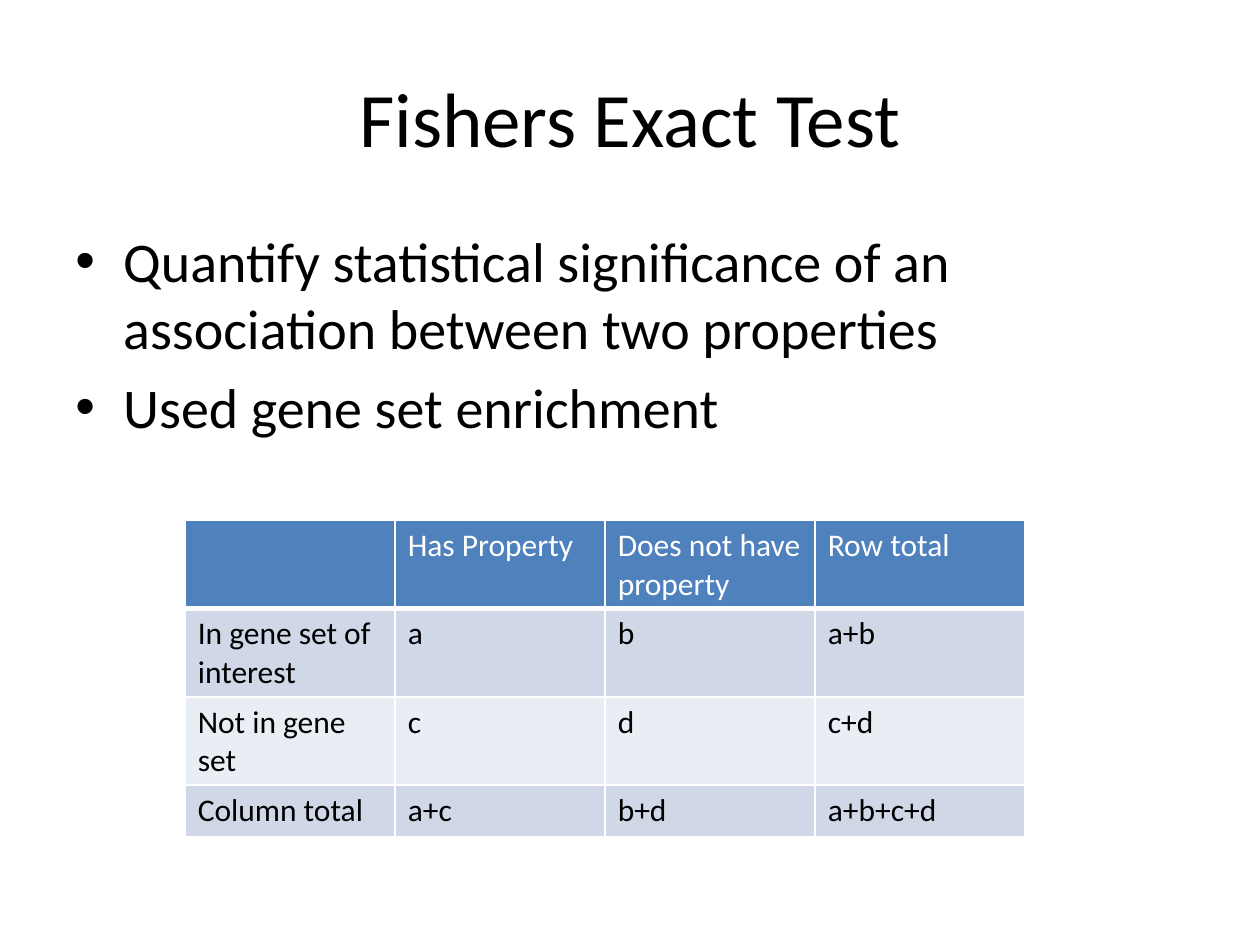
from dataclasses import dataclass

from lxml import etree
from pptx import Presentation
from pptx.dml.color import RGBColor
from pptx.enum.text import MSO_ANCHOR, PP_ALIGN
from pptx.oxml.ns import qn
from pptx.util import Inches, Pt

MIDDLE, TOP = MSO_ANCHOR.MIDDLE, MSO_ANCHOR.TOP
CENTER, LEFT = PP_ALIGN.CENTER, PP_ALIGN.LEFT
BLANK = 6


@dataclass(frozen=True)
class Theme:
    """Colours and type sizes of the slide."""
    font: str = "Calibri"
    ink: str = "000000"
    paper: str = "FFFFFF"
    header: str = "4F81BD"
    bands: tuple = ("D0D8E8", "E9EDF4")
    title: int = 44
    body: int = 32
    cell: int = 18
    rule: int = 1
    header_rule: int = 3


THEME = Theme()
TITLE = "Fishers Exact Test"
POINTS = [
    "Quantify statistical significance of an association between two properties",
    "Used gene set enrichment",
]
ROWS = [
    ["", "Has Property", "Does not have property", "Row total"],
    ["In gene set of interest", "a", "b", "a+b"],
    ["Not in gene set", "c", "d", "c+d"],
    ["Column total", "a+c", "b+d", "a+b+c+d"],
]


def add_run(p, text, size, color):
    """Add one styled run to a paragraph."""
    r = p.add_run()
    r.text = text
    r.font.name = THEME.font
    r.font.size = Pt(size)
    r.font.color.rgb = RGBColor.from_string(color)


def add_text_frame(s, box, anchor):
    """Add a wrapping text box and return its text frame."""
    tf = s.shapes.add_textbox(*box).text_frame
    tf.word_wrap = True
    tf.vertical_anchor = anchor
    return tf


def add_title(s, box, text):
    """Place the centred title."""
    p = add_text_frame(s, box, MIDDLE).paragraphs[0]
    p.alignment = CENTER
    add_run(p, text, THEME.title, THEME.ink)


def add_bullets(s, box, points):
    """Place the bullet list with hanging indents."""
    tf = add_text_frame(s, box, TOP)
    for i, text in enumerate(points):
        p = tf.add_paragraph() if i else tf.paragraphs[0]
        p.alignment = LEFT
        p.space_before = Pt(0.2 * THEME.body)
        pPr = p._p.get_or_add_pPr()
        pPr.set("marL", str(Inches(0.38)))
        pPr.set("indent", str(-Inches(0.38)))
        etree.SubElement(pPr, qn("a:buFont"), typeface="Arial")
        etree.SubElement(pPr, qn("a:buChar"), char="•")
        add_run(p, text, THEME.body, THEME.ink)


def add_borders(cell, bottom):
    """Draw the four cell borders, with a given bottom width."""
    tcPr = cell._tc.get_or_add_tcPr()
    widths = dict.fromkeys(("lnL", "lnR", "lnT"), THEME.rule) | {"lnB": bottom}
    for side, width in widths.items():
        ln = etree.SubElement(tcPr, qn(f"a:{side}"), w=str(Pt(width)))
        fill = etree.SubElement(ln, qn("a:solidFill"))
        etree.SubElement(fill, qn("a:srgbClr"), val=THEME.paper)


def add_contingency_table(s, box, rows):
    """Place the contingency table with a header and banded rows."""
    table = s.shapes.add_table(len(rows), len(rows[0]), *box).table
    for i, row in enumerate(rows):
        is_header = i == 0
        fill = THEME.header if is_header else THEME.bands[(i - 1) % 2]
        color = THEME.paper if is_header else THEME.ink
        bottom = THEME.header_rule if is_header else THEME.rule
        for j, text in enumerate(row):
            cell = table.cell(i, j)
            add_borders(cell, bottom)
            cell.fill.solid()
            cell.fill.fore_color.rgb = RGBColor.from_string(fill)
            if text:
                p = cell.text_frame.paragraphs[0]
                add_run(p, text, THEME.cell, color)
                p.runs[0].font.bold = False


def main():
    """Build and save the slide."""
    prs = Presentation()
    prs.slide_width, prs.slide_height = Inches(10), Inches(7.5)
    s = prs.slides.add_slide(prs.slide_layouts[BLANK])
    w, h = prs.slide_width, prs.slide_height
    margin, content = int(0.05 * w), int(0.9 * w)
    add_title(s, (margin, int(0.04 * h), content, Inches(1.25)), TITLE)
    add_bullets(s, (margin, Inches(1.75), content, Inches(2.35)), POINTS)
    table_box = (Inches(1.47), Inches(4.13), w * 2 // 3, len(ROWS) * Inches(0.41))
    add_contingency_table(s, table_box, ROWS)
    prs.save("out.pptx")


if __name__ == "__main__":
    main()
